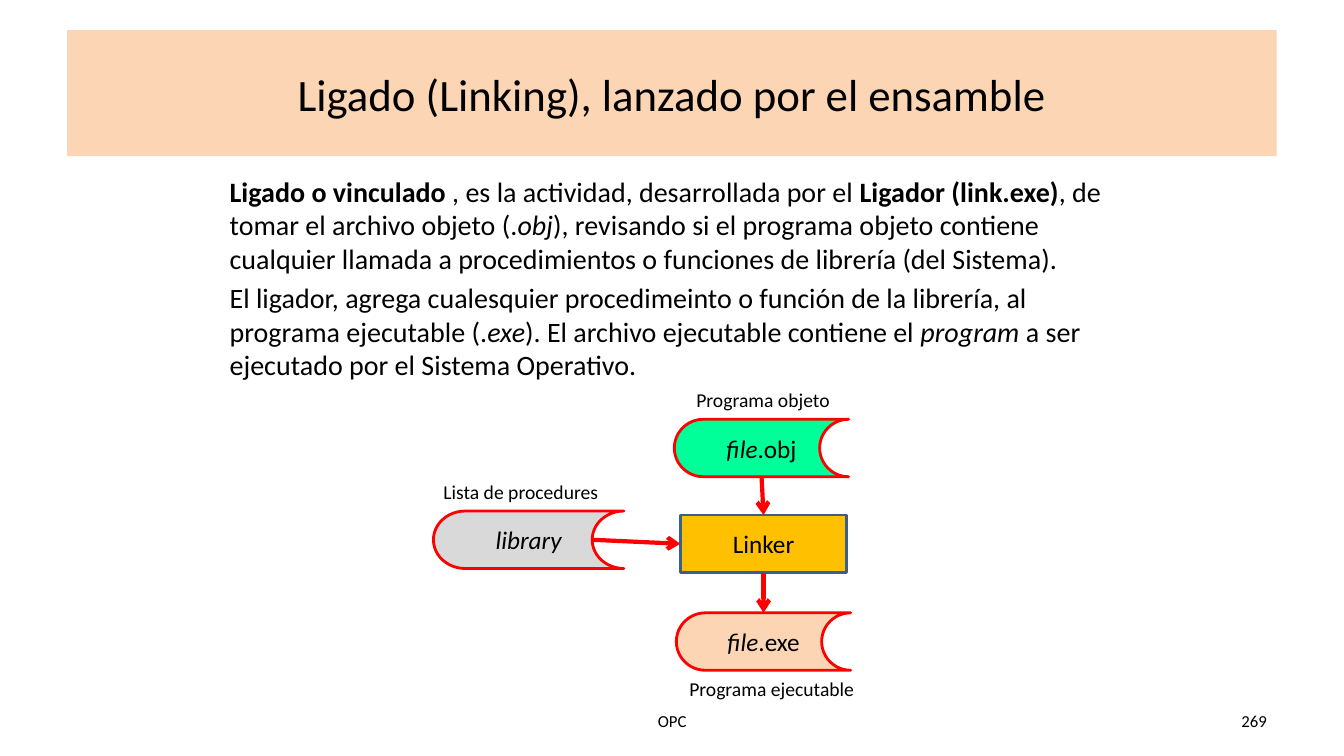
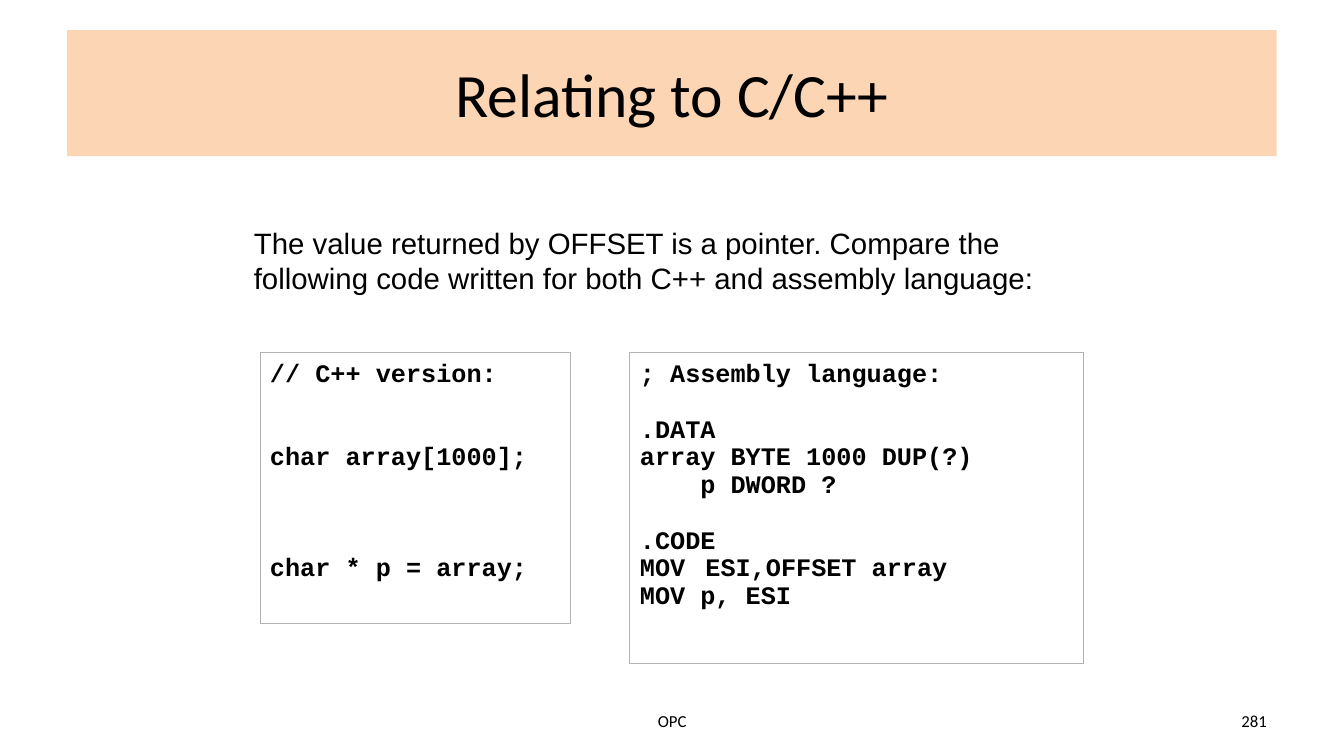
import pptx
import pptx.dml.color
import pptx.enum.shapes
import pptx.enum.text
import pptx.oxml
import pptx.oxml.ns
import pptx.util

# Slide size and a grid of 40 columns by 30 rows
WIDTH = pptx.util.Inches(13.333)
HEIGHT = pptx.util.Inches(7.5)
COLUMNS, ROWS = 40, 30

# Shared look
PEACH, RED, BLACK = "FCD5B5", "FF0000", "000000"
SANS, PLAIN, MONO = "Calibri", "Arial", "Courier New"
CODE_SIZE, CODE_PITCH = 18, 19.8
CODE_CHARACTER = 0.6 * CODE_SIZE

SHAPES = pptx.enum.shapes.MSO_SHAPE
ALIGN = pptx.enum.text.PP_ALIGN
ANCHOR = pptx.enum.text.MSO_ANCHOR
TOP, LEFT, BOTTOM = 0, 1, 2


def color(hex_string):
    return pptx.dml.color.RGBColor.from_string(hex_string)


def place(column, row, columns, rows):
    """Turn grid units into left, top, width, height."""
    return (round(column * WIDTH / COLUMNS), round(row * HEIGHT / ROWS),
            round(columns * WIDTH / COLUMNS), round(rows * HEIGHT / ROWS))


def add_xml(parent, tag, **attributes):
    child = pptx.oxml.parse_xml(f"<a:{tag} {pptx.oxml.ns.nsdecls('a')}/>")
    for name, value in attributes.items():
        child.set(name, str(value))
    parent.append(child)
    return child


# Text
def write_runs(para, runs, size, font=SANS, align=ALIGN.LEFT):
    """Add (text, style) runs; the style may hold b for bold, i for italic."""
    para.alignment = align
    for text, style in runs:
        span = para.add_run()
        span.text = text
        span.font.name = font
        span.font.size = pptx.util.Pt(size)
        span.font.bold = "b" in style
        span.font.italic = "i" in style
        span.font.color.rgb = color(BLACK)


def add_text(page, area, paragraphs, size, font=SANS, align=ALIGN.LEFT,
             anchor=ANCHOR.TOP, before=0, inset=0.05):
    box = page.shapes.add_textbox(*place(*area))
    frame = box.text_frame
    frame.word_wrap = True
    frame.vertical_anchor = anchor
    frame.margin_top = frame.margin_bottom = pptx.util.Inches(inset)
    for index, runs in enumerate(paragraphs):
        para = frame.add_paragraph() if index else frame.paragraphs[0]
        para.space_before = pptx.util.Pt(before)
        write_runs(para, runs, size, font, align)


# Shapes
def add_box(page, kind, area, fill=None, line=None, weight=2):
    box = page.shapes.add_shape(kind, *place(*area))
    box.shadow.inherit = False
    if fill:
        box.fill.solid()
        box.fill.fore_color.rgb = color(fill)
    else:
        box.fill.background()
    if line:
        box.line.color.rgb = color(line)
        box.line.width = pptx.util.Pt(weight)
    else:
        box.line.fill.background()
    box.text_frame.word_wrap = True
    return box


def add_label_box(page, kind, area, runs, fill, line=None, size=18):
    box = add_box(page, kind, area, fill, line)
    box.text_frame.vertical_anchor = ANCHOR.MIDDLE
    write_runs(box.text_frame.paragraphs[0], runs, size, align=ALIGN.CENTER)
    return box


def add_arrow(page, start=(0, 0)):
    arrow = page.shapes.add_connector(
        pptx.enum.shapes.MSO_CONNECTOR.STRAIGHT, *start, *start)
    arrow.line.color.rgb = color(RED)
    arrow.line.width = pptx.util.Pt(3)
    properties = arrow._element.spPr
    add_xml(properties.find(pptx.oxml.ns.qn("a:ln")), "tailEnd", type="arrow")
    add_xml(properties, "effectLst")
    return arrow


def add_code(page, area, lines):
    """Each line is (blank lines above, indent in characters, text)."""
    box = add_box(page, SHAPES.RECTANGLE, area, line="B2B2B2", weight=0.75)
    frame = box.text_frame
    frame.vertical_anchor = ANCHOR.TOP
    frame.margin_top = pptx.util.Inches(0.07)
    for index, (gap, indent, text) in enumerate(lines):
        para = frame.add_paragraph() if index else frame.paragraphs[0]
        para.line_spacing = pptx.util.Pt(CODE_PITCH)
        para.space_before = pptx.util.Pt(gap * CODE_PITCH)
        write_runs(para, [(text, "b")], CODE_SIZE, MONO)
        properties = para._p.get_or_add_pPr()
        if indent:
            properties.set("marL", str(pptx.util.Pt(indent * CODE_CHARACTER)))
            properties.set("indent", "0")
        if "\t" in text:
            add_xml(add_xml(properties, "tabLst"), "tab",
                    pos=pptx.util.Inches(0.5), algn="l")


# Title band, footer and page number
def add_page(deck, title, title_size, number):
    page = deck.slides.add_slide(deck.slide_layouts[6])
    add_label_box(page, SHAPES.RECTANGLE, (2, 1.2, 36, 5),
                  [(title, "")], PEACH, size=title_size)
    for column, columns, text, align in (
            (13.67, 12.67, "OPC", ALIGN.CENTER),
            (28.67, 9.33, number, ALIGN.RIGHT)):
        add_text(page, (column, 27.8, columns, 1.6), [[(text, "")]], 12,
                 align=align, anchor=ANCHOR.MIDDLE)
    return page


def build_linking(deck):
    page = add_page(deck, "Ligado (Linking), lanzado por el ensamble", 32, "269")
    add_text(page, (6.54, 6.72, 27, 20.88), [
        [("Ligado o vinculado", "b"),
         (" , es la actividad, desarrollada por el ", ""),
         ("Ligador (link.exe)", "b"),
         (", de tomar el archivo objeto (.", ""),
         ("obj", "i"),
         ("), revisando si el programa objeto contiene cualquier llamada a "
          "procedimientos o funciones de librería (del Sistema).", "")],
        [("El ligador, agrega cualesquier procedimeinto o función de la "
          "librería, al programa ejecutable (.", ""),
         ("exe", "i"),
         ("). El archivo ejecutable contiene el ", ""),
         ("program", "i"),
         (" a ser ejecutado por el Sistema Operativo.", "")],
    ], 20, before=4)

    # Files and linker
    storage = SHAPES.FLOWCHART_STORED_DATA
    object_file = add_label_box(page, storage, (20.07, 16.64, 5.19, 2.28),
                                [("file", "i"), (".obj", "")], "00FF99", RED)
    program_file = add_label_box(page, storage, (20.13, 24.32, 5.19, 2.28),
                                 [("file", "i"), (".exe", "")], PEACH, RED)
    library = add_label_box(page, storage, (12.9, 20.28, 5.67, 2.28),
                            [("library", "i")], "D9D9D9", RED)
    linker = add_label_box(page, SHAPES.FLOWCHART_PROCESS,
                           (20.25, 20.44, 4.95, 2.28),
                           [("Linker", "")], "FFC000", "3A5F8C")

    # Arrows; the library's curved edge lies at five sixths of its width
    for source, target in ((object_file, linker), (linker, program_file)):
        arrow = add_arrow(page)
        arrow.begin_connect(source, BOTTOM)
        arrow.end_connect(target, TOP)
    arrow = add_arrow(page, (library.left + library.width * 5 // 6,
                             library.top + library.height // 2))
    arrow.end_connect(linker, LEFT)

    # Captions
    for column, row, text in ((20.43, 15.2, "Programa objeto"),
                              (20.22, 26.68, "Programa ejecutable"),
                              (12.9, 18.84, "Lista de procedures")):
        add_text(page, (column, row, 5.7, 1.36), [[(text, "")]], 14)


def build_comparison(deck):
    page = add_page(deck, "Relating to C/C++", 44, "281")
    add_text(page, (7.26, 8.32, 25.26, 4), [[
        ("The value returned by OFFSET is a pointer. Compare the following "
         "code written for both C++ and assembly language:", "")]],
        21, PLAIN, inset=0.15)
    add_code(page, (7.74, 14, 9.24, 10.76), [
        (0, 0, "// C++ version:"),
        (2, 0, "char array[1000];"),
        (3, 0, "char * p = array;")])
    add_code(page, (18.75, 14, 13.5, 12.32), [
        (0, 0, "; Assembly language:"),
        (1, 0, ".DATA"),
        (0, 0, "array BYTE 1000 DUP(?)"),
        (0, 4, "p DWORD ?"),
        (1, 0, ".CODE"),
        (0, 0, "MOV\t ESI,OFFSET array"),
        (0, 0, "MOV p, ESI")])


def main():
    deck = pptx.Presentation()
    deck.slide_width, deck.slide_height = WIDTH, HEIGHT
    build_linking(deck)
    build_comparison(deck)
    deck.save("out.pptx")


if __name__ == "__main__":
    main()
